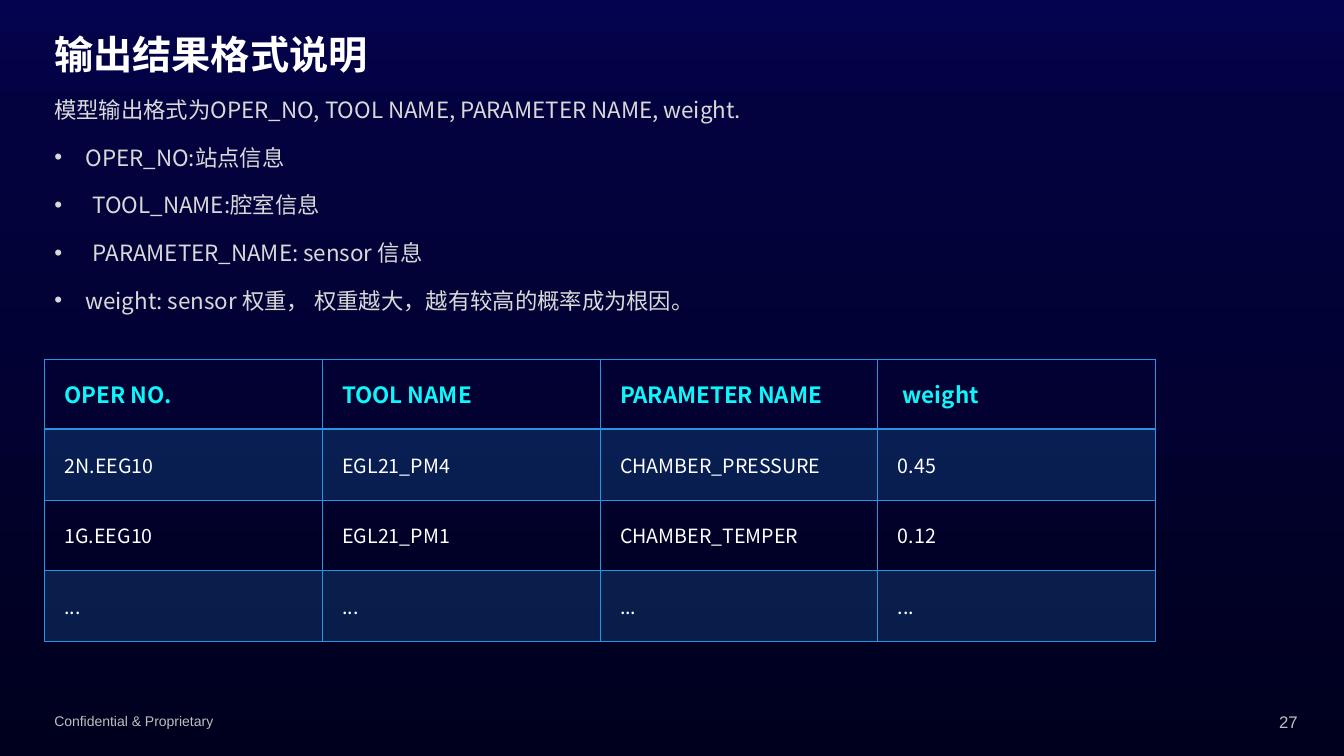
from copy import deepcopy

from lxml import etree
from pptx import Presentation
from pptx.dml.color import RGBColor
from pptx.enum import text as t
from pptx.oxml.ns import qn
from pptx.util import Inches, Pt

WHITE = RGBColor(0xFF, 0xFF, 0xFF)
BODY_GREY = RGBColor(0xD9, 0xD9, 0xD9)
FOOTER_GREY = RGBColor(0xBF, 0xBF, 0xBF)
CYAN = RGBColor(0x0E, 0xF6, 0xFB)
BLUE = RGBColor(0x29, 0x93, 0xE3)
BACKGROUND_STOPS = [
    (0, RGBColor(0x04, 0x03, 0x4F)),
    (0.16, RGBColor(0x03, 0x02, 0x3F)),
    (1, RGBColor(0x00, 0x00, 0x1E)),
]
CJK = "Noto Sans CJK SC"

INTRO = "模型输出格式为OPER_NO, TOOL NAME, PARAMETER NAME, weight."
FIELDS = [
    ("OPER_NO:站点信息", 0.31),
    ("TOOL_NAME:腔室信息", 0.38),
    ("PARAMETER_NAME: sensor 信息", 0.38),
    ("weight: sensor 权重， 权重越大，越有较高的概率成为根因。", 0.31),
]
RESULTS = [
    ["OPER NO.", "TOOL NAME", "PARAMETER NAME", " weight"],
    ["2N.EEG10", "EGL21_PM4", "CHAMBER_PRESSURE", "0.45"],
    ["1G.EEG10", "EGL21_PM1", "CHAMBER_TEMPER", "0.12"],
    ["..."] * 4,
]


def write(paragraph, words, size, color, font=CJK, bold=False, align=None,
          spacing=None, before=None, indent=None):
    if indent:
        props = paragraph._p.get_or_add_pPr()
        props.set("marL", str(Inches(indent)))
        props.set("indent", str(-Inches(indent)))
        etree.SubElement(props, qn("a:buFont"), typeface="Arial")
        etree.SubElement(props, qn("a:buChar"), char="•")
    paragraph.alignment = align
    paragraph.line_spacing = spacing
    paragraph.space_before = before
    run = paragraph.add_run()
    run.text = words
    run.font.size = Pt(size)
    run.font.bold = bold
    run.font.color.rgb = color
    run.font.name = font
    etree.SubElement(run._r.get_or_add_rPr(), qn("a:ea"), typeface=font)


def text_frame(slide, box, anchor=t.MSO_ANCHOR.TOP):
    frame = slide.shapes.add_textbox(*map(Inches, box)).text_frame
    frame.word_wrap = True
    frame.vertical_anchor = anchor
    return frame


def paint_background(slide):
    fill = slide.background.fill
    fill.gradient()
    fill.gradient_angle = 270
    stop_list = slide._element.find(".//" + qn("a:gsLst"))
    stop_list.append(deepcopy(stop_list[-1]))
    for stop, (position, color) in zip(fill.gradient_stops, BACKGROUND_STOPS):
        stop.position = position
        stop.color.rgb = color


def add_title(slide, box):
    frame = text_frame(slide, box, t.MSO_ANCHOR.MIDDLE)
    write(frame.paragraphs[0], "输出结果格式说明", 28, WHITE, bold=True, spacing=0.9)


def add_field_notes(slide, box):
    frame = text_frame(slide, box)
    write(frame.paragraphs[0], INTRO, 16, BODY_GREY, spacing=1.25)
    for field, indent in FIELDS:
        write(frame.add_paragraph(), field, 16, BODY_GREY, spacing=1.25,
              before=Pt(10), indent=indent)


def set_borders(cell, widths):
    props = cell._tc.get_or_add_tcPr()
    for index, (side, width) in enumerate(widths.items()):
        line = etree.Element(qn("a:ln" + side), w=str(Pt(width)))
        solid = etree.SubElement(line, qn("a:solidFill"))
        etree.SubElement(solid, qn("a:srgbClr"), val=str(BLUE))
        props.insert(index, line)


def fill_cell(cell, banded):
    if not banded:
        cell.fill.background()
        return
    cell.fill.solid()
    cell.fill.fore_color.rgb = BLUE
    color = cell._tc.tcPr.find(".//" + qn("a:srgbClr"))
    etree.SubElement(color, qn("a:alpha"), val="20000")


def add_results_table(slide, box):
    rows, columns = len(RESULTS), len(RESULTS[0])
    table = slide.shapes.add_table(rows, columns, *map(Inches, box)).table
    table.first_row = table.horz_banding = False
    for r, values in enumerate(RESULTS):
        header = r == 0
        for c, value in enumerate(values):
            cell = table.cell(r, c)
            cell.margin_left = cell.margin_right = Inches(0.2)
            cell.vertical_anchor = t.MSO_ANCHOR.MIDDLE
            write(cell.text_frame.paragraphs[0], value, 16 if header else 14,
                  CYAN if header else WHITE, bold=header)
            fill_cell(cell, r % 2 == 1)
            set_borders(cell, {"L": 0.25, "R": 0.25,
                               "T": 1.5 if r == 1 else 0.25,
                               "B": 1.5 if header else 0.25})


def add_footer(slide, left, top, right):
    notice = text_frame(slide, (left, top, 4.5, 0.27))
    write(notice.paragraphs[0], "Confidential & Proprietary", 10, FOOTER_GREY, "Arial")
    number = text_frame(slide, (right - 0.5, top - 0.01, 0.5, 0.3))
    write(number.paragraphs[0], "27", 12, FOOTER_GREY, "Arial", align=t.PP_ALIGN.RIGHT)


def main():
    deck = Presentation()
    deck.slide_width, deck.slide_height = Inches(13.33), Inches(7.5)
    slide = deck.slides.add_slide(deck.slide_layouts[6])
    paint_background(slide)
    add_footer(slide, 0.44, 7.02, 12.97)
    add_title(slide, (0.44, 0.3, 10.08, 0.53))
    add_field_notes(slide, (0.44, 0.84, 11.51, 2.32))
    add_results_table(slide, (0.44, 3.56, 11.02, 2.8))
    deck.save("out.pptx")


if __name__ == "__main__":
    main()
